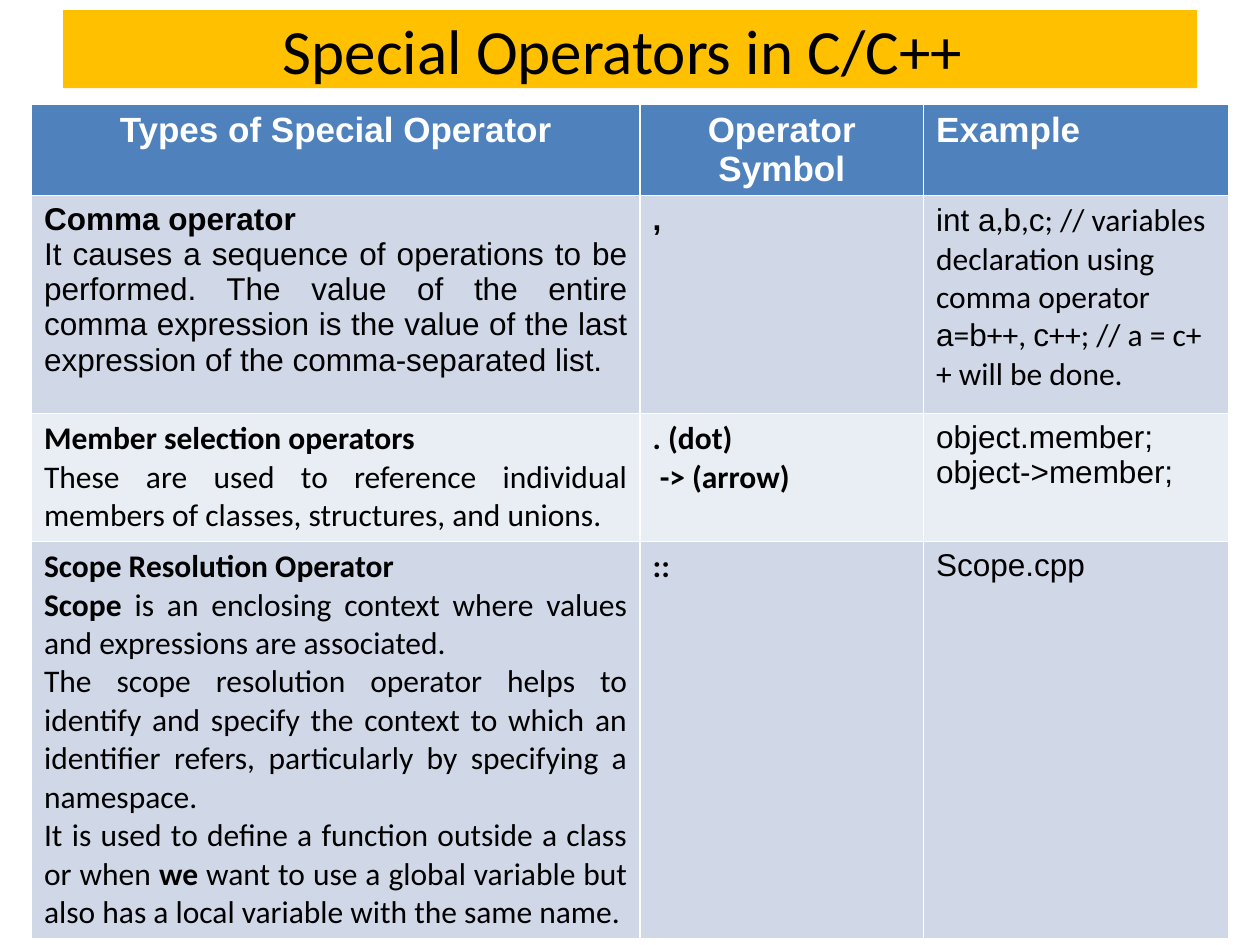
from pptx import Presentation
from pptx.dml.color import RGBColor
from pptx.enum.text import MSO_ANCHOR, PP_ALIGN
from pptx.util import Inches, Pt

COLORS = {"title": "FFC000", "header": "4F81BD", "odd": "D0D8E8", "even": "E9EDF4",
          "dark": "000000", "light": "FFFFFF"}
TITLE = "Special Operators in C/C++ "
TITLE_BOX = (0.5, 0.08, 9, 0.62)
TABLE_BOX = (0.25, 0.83, 9.5, 4.45)
COLUMN_WIDTHS = (4.83, 2.25, 2.42)
ROW_HEIGHTS = (0.37, 1.73, 1, 1.35)

ARIAL, ARIAL_BOLD = ("Arial", False), ("Arial", True)
CALIBRI, CALIBRI_BOLD = ("Calibri", False), ("Calibri", True)

HEADERS = ("Types of Special Operator", "Operator Symbol", "Example")
HEADER_ROW = [[[(header, ARIAL_BOLD)]] for header in HEADERS]
COMMA_ROW = [
    [
        [("Comma operator ", ARIAL_BOLD)],
        [("It causes a sequence of operations to be performed. The value of the entire "
          "comma expression is the value of the last expression of the "
          "comma-separated list.", ARIAL)],
    ],
    [[(",", ARIAL_BOLD)]],
    [[
        ("int a", ARIAL), (",", CALIBRI), ("b", ARIAL), (",", CALIBRI), ("c", ARIAL),
        ("; // variables declaration using comma operator", CALIBRI),
        (" a", ARIAL), ("=", CALIBRI), ("b", ARIAL), ("++, ", CALIBRI), ("c", ARIAL),
        ("++; // a = c++ will be done.", CALIBRI),
    ]],
]
MEMBER_ROW = [
    [
        [("Member selection operators ", CALIBRI_BOLD)],
        [("These are used to reference individual members of classes, structures, "
          "and unions.", CALIBRI)],
    ],
    [[(". (dot)", CALIBRI_BOLD)], [(" -> (arrow)", CALIBRI_BOLD)]],
    [[("object.member;", ARIAL)], [("object->member;", ARIAL)]],
]
SCOPE_ROW = [
    [
        [("Scope Resolution Operator", CALIBRI_BOLD)],
        [("Scope", CALIBRI_BOLD),
         (" is an enclosing context where values and expressions are associated. ", CALIBRI)],
        [("The scope resolution operator helps to identify and specify the context to "
          "which an identifier refers, particularly by specifying a namespace.", CALIBRI)],
        [("It is used to define a function outside a class or when ", CALIBRI),
         ("we", CALIBRI_BOLD),
         (" want to use a global variable but also has a local variable with the same name.",
          CALIBRI)],
    ],
    [[("::", CALIBRI_BOLD)]],
    [[("Scope.cpp", ARIAL)]],
]
ROWS = [HEADER_ROW, COMMA_ROW, MEMBER_ROW, SCOPE_ROW]
ROW_FILLS = ("header", "odd", "even", "odd")
HEADER_ALIGNMENTS = (PP_ALIGN.CENTER, PP_ALIGN.CENTER, PP_ALIGN.LEFT)
BODY_ALIGNMENTS = (PP_ALIGN.JUSTIFY, PP_ALIGN.LEFT, PP_ALIGN.LEFT)


def set_fill(item, color):
    """Give a shape or cell a solid fill."""
    item.fill.solid()
    item.fill.fore_color.rgb = RGBColor.from_string(COLORS[color])


def add_run(paragraph, text, style, size, color):
    """Add one formatted run to a paragraph."""
    run = paragraph.add_run()
    run.text = text
    name, bold = style
    for attribute, value in {"name": name, "bold": bold, "size": Pt(size)}.items():
        setattr(run.font, attribute, value)
    run.font.color.rgb = RGBColor.from_string(COLORS[color])


def add_title(slide):
    """Place and format the title placeholder."""
    title = slide.shapes.title
    for attribute, value in zip(("left", "top", "width", "height"), TITLE_BOX):
        setattr(title, attribute, Inches(value))
    set_fill(title, "title")
    title.text_frame.vertical_anchor = MSO_ANCHOR.MIDDLE
    paragraph = title.text_frame.paragraphs[0]
    paragraph.alignment = PP_ALIGN.CENTER
    add_run(paragraph, TITLE, CALIBRI, 36, "dark")


def fill_cell(cell, paragraphs, alignment, size, color):
    """Write the paragraphs of one cell."""
    frame = cell.text_frame
    for index, runs in enumerate(paragraphs):
        paragraph = frame.add_paragraph() if index else frame.paragraphs[0]
        paragraph.alignment = alignment
        for text, style in runs:
            add_run(paragraph, text, style, size, color)


def add_operator_table(slide):
    """Build the table of operators."""
    box = [Inches(value) for value in TABLE_BOX]
    table = slide.shapes.add_table(len(ROWS), len(COLUMN_WIDTHS), *box).table
    for column, width in zip(table.columns, COLUMN_WIDTHS):
        column.width = Inches(width)
    for row_index, (row, height) in enumerate(zip(ROWS, ROW_HEIGHTS)):
        table.rows[row_index].height = Inches(height)
        alignments = BODY_ALIGNMENTS if row_index else HEADER_ALIGNMENTS
        size, color = (18, "dark") if row_index else (20, "light")
        for column_index, paragraphs in enumerate(row):
            cell = table.cell(row_index, column_index)
            set_fill(cell, ROW_FILLS[row_index])
            fill_cell(cell, paragraphs, alignments[column_index], size, color)


def main():
    """Build and save the slide."""
    presentation = Presentation()
    presentation.slide_width, presentation.slide_height = Inches(10), Inches(7.5)
    slide = presentation.slides.add_slide(presentation.slide_layouts[5])
    add_title(slide)
    add_operator_table(slide)
    presentation.save("out.pptx")


if __name__ == "__main__":
    main()
